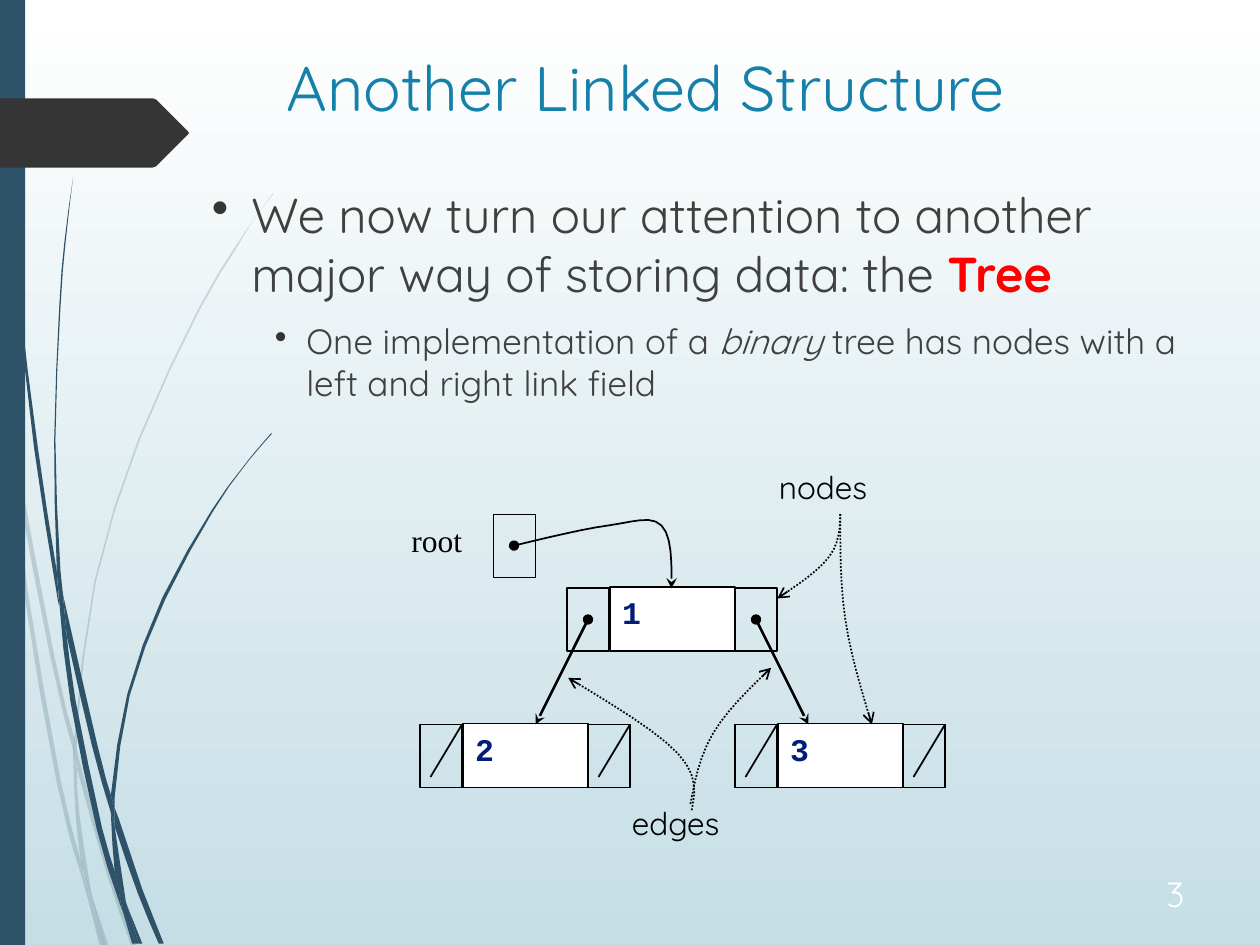
from lxml import etree
from pptx import Presentation
from pptx.dml.color import RGBColor
from pptx.enum.dml import MSO_LINE
from pptx.enum.shapes import MSO_CONNECTOR, MSO_SHAPE
from pptx.enum.text import MSO_ANCHOR, PP_ALIGN
from pptx.oxml.ns import qn
from pptx.util import Pt

RECTANGLE = MSO_SHAPE.RECTANGLE
STRAIGHT = MSO_CONNECTOR.STRAIGHT
DOTTED = MSO_LINE.ROUND_DOT
TOP, MIDDLE = MSO_ANCHOR.TOP, MSO_ANCHOR.MIDDLE
LEFT, CENTER, RIGHT = PP_ALIGN.LEFT, PP_ALIGN.CENTER, PP_ALIGN.RIGHT
BLACK = RGBColor(0, 0, 0)
WHITE = RGBColor(255, 255, 255)
PALE = RGBColor(0xC5, 0xDE, 0xE5)
SLATE = RGBColor(0x2E, 0x53, 0x69)
CHARCOAL = RGBColor(0x35, 0x35, 0x35)
GRAY = RGBColor(0x40, 0x40, 0x40)
TEAL = RGBColor(0x15, 0x81, 0xAA)
RED = RGBColor(255, 0, 0)
NAVY = RGBColor(0, 0x1D, 0x7A)
OFF_WHITE = RGBColor(0xFE, 0xFF, 0xFF)
UNIT = 0.72

deck = Presentation()
deck.slide_width, deck.slide_height = Pt(720), Pt(540)
page = deck.slides.add_slide(deck.slide_layouts[6])
backdrop = page.background.fill
backdrop.gradient()
backdrop.gradient_angle = 270
for stop, color, position in zip(backdrop.gradient_stops, (WHITE, PALE), (0, 1)):
    stop.color.rgb = color
    stop.position = position


def add_outline(edges, closed, smoothness):
    track = []
    for edge in edges:
        track.append(edge[0])
        last = len(edge) - 2
        steps = smoothness if last > 0 else 1
        for i in range(last + 1):
            curves = []
            for axis in (0, 1):
                a, d = edge[i][axis], edge[i + 1][axis]
                b = a + (d - edge[i - 1][axis]) / 6 if i > 0 else None
                c = d - (edge[i + 2][axis] - a) / 6 if i < last else None
                if b is None and c is None:
                    b, c = a, d
                elif b is None:
                    b = (a + c) / 2
                elif c is None:
                    c = (b + d) / 2
                curves.append((a, b, c, d))
            for step in range(1, steps + 1):
                t = step / steps
                s = 1 - t
                track.append([s**3 * a + 3 * s * s * t * b + 3 * s * t * t * c + t**3 * d
                              for a, b, c, d in curves])
    track = [(Pt(x * UNIT), Pt(y * UNIT)) for x, y in track]
    builder = page.shapes.build_freeform(*track[0], scale=1.0)
    builder.add_line_segments(track[1:], close=closed)
    outline = builder.convert_to_shape()
    outline.shadow.inherit = False
    return outline


def add_span(para, text, size, font, color, bold=False, italic=False):
    span = para.add_run()
    span.text = text
    span.font.size, span.font.name = Pt(size), font
    span.font.bold, span.font.italic = bold, italic
    span.font.color.rgb = color


faint_wisps = [
    [[(8, 350), (6, 322), (0, 282)], [(0, 299), (7, 344)]],
    [[(10, 345), (43, 520), (59, 586)], [(59, 599), (40, 522), (12, 376)]],
    [[(61, 596)], [(64, 607), (88, 692), (108, 750)], [(104, 750), (85, 694), (61, 610)]],
    [[(73, 711), (86, 750)], [(83, 750)]],
    [[(8, 350), (12, 376), (22, 469), (48, 619), (64, 683), (69, 707), (70, 714)],
     [(64, 693), (45, 621), (19, 470), (8, 350)]],
    [[(58, 599)], [(61, 610), (63, 646), (72, 706)],
     [(73, 711), (67, 692), (64, 683), (60, 646), (58, 599)]],
    [[(217, 153), (201, 175), (186, 197), (158, 244), (110, 348), (75, 461), (59, 586)],
     [(61, 596)],
     [(61, 584), (76, 462), (111, 349), (159, 245), (187, 198), (201, 175), (217, 154)]],
    [[(70, 714), (82, 750)], [(79, 750)]],
    [[(61, 608), (61, 610)], [(61, 596), (59, 586)], [(58, 599)]],
    [[(65, 683), (69, 707)], [(70, 714), (82, 750)], [(83, 750), (73, 711), (67, 692)]],
]
solid_wisps = [
    [[(3, 0), (4, 48), (6, 109), (15, 232), (30, 355), (45, 453)], [(47, 481)],
     [(46, 477), (27, 355), (14, 233), (5, 110), (3, 48), (2, 0)]],
    [[(50, 472), (77, 590), (88, 631)], [(88, 645), (73, 592), (53, 505)]],
    [[(91, 641), (94, 649)], [(113, 706), (130, 749)], [(126, 749), (109, 708), (91, 656)]],
    [[(47, 477), (53, 505), (60, 556), (81, 657), (91, 691), (96, 717)],
     [(97, 722), (92, 708), (77, 659), (56, 557), (47, 477)]],
    [[(58, 141), (51, 193), (47, 244), (43, 349), (45, 449)], [(49, 472), (50, 472)],
     [(48, 453), (44, 349), (48, 244), (52, 193), (58, 141)]],
    [[(101, 719), (113, 749)], [(110, 749)]],
    [[(47, 477), (53, 505)], [(50, 472)], [(45, 449), (45, 453)]],
    [[(215, 344), (203, 358), (191, 373), (168, 405), (129, 474), (101, 551), (88, 631)],
     [(91, 641)],
     [(91, 633), (103, 552), (131, 476), (169, 406), (191, 374), (203, 359), (216, 344)]],
    [[(97, 722), (108, 749)], [(105, 749)]],
    [[(88, 645), (91, 691), (96, 706), (101, 719)], [(100, 716), (91, 656)], [(90, 651)]],
    [[(88, 645), (90, 651), (91, 656)], [(91, 641), (88, 631)]],
    [[(96, 706), (91, 691)], [(96, 717)], [(97, 722), (108, 749)], [(110, 749), (101, 719)]],
]
for wisps, opacity in ((faint_wisps, 20), (solid_wisps, 100)):
    for edges in wisps:
        wisp = add_outline(edges, True, 2)
        wisp.fill.solid()
        wisp.fill.fore_color.rgb = SLATE
        wisp.line.fill.background()
        if opacity < 100:
            tint = next(wisp.fill._xPr.iter(qn("a:srgbClr")))
            etree.SubElement(tint, qn("a:alpha"), val=str(opacity * 1000))

band = page.shapes.add_shape(RECTANGLE, 0, 0, Pt(14.4), Pt(540))
tag_corners = [(149, 107), (124, 132), (121, 133), (0, 133),
               (0, 78), (121, 78), (124, 79), (149, 104), (150, 105.5)]
tag = add_outline([[corner] for corner in tag_corners], True, 1)
for decoration, color in ((band, SLATE), (tag, CHARCOAL)):
    decoration.shadow.inherit = False
    decoration.fill.solid()
    decoration.fill.fore_color.rgb = color
    decoration.line.fill.background()

labels = [
    ("Another Linked Structure", 60, 24, 618, 54, 36, "Quicksand", TEAL, CENTER, TOP),
    ("3", 516, 492, 168, 37.5, 20, "Quicksand", OFF_WHITE, RIGHT, MIDDLE),
    ("root", 228, 294, 66, 36, 18, "Times New Roman", BLACK, LEFT, TOP),
    ("edges", 354, 456, 108, 36, 18, "Quicksand", BLACK, LEFT, TOP),
    ("nodes", 438, 264, 108, 36, 18, "Quicksand", BLACK, LEFT, TOP),
]
for text, x, y, width, height, size, font, color, align, anchor in labels:
    frame = page.shapes.add_textbox(Pt(x), Pt(y), Pt(width), Pt(height)).text_frame
    frame.word_wrap, frame.vertical_anchor = True, anchor
    frame.paragraphs[0].alignment = align
    add_span(frame.paragraphs[0], text, size, font, color)

body = page.shapes.add_textbox(Pt(78), Pt(102), Pt(624), Pt(390)).text_frame
body.word_wrap = True
bullets = [
    (58.5, -22.5, 28, [
        ("We now turn our attention to another major way of storing data: the ", GRAY, False, False),
        ("Tree", RED, True, False)]),
    (90, -18, 20, [
        ("One implementation of a ", GRAY, False, False),
        ("binary ", GRAY, False, True),
        ("tree has nodes with a left and right link field", GRAY, False, False)]),
]
for level, (margin, indent, size, spans) in enumerate(bullets):
    para = body.add_paragraph() if level else body.paragraphs[0]
    para.level, para.space_before = level, Pt(10)
    props = para._p.get_or_add_pPr()
    props.set("marL", str(Pt(margin)))
    props.set("indent", str(Pt(indent)))
    bullet_color = etree.SubElement(props, qn("a:buClr"))
    etree.SubElement(bullet_color, qn("a:srgbClr"), val=str(CHARCOAL))
    etree.SubElement(props, qn("a:buChar"), char="•")
    for text, color, bold, italic in spans:
        add_span(para, text, size, "Quicksand", color, bold, italic)

nodes = [("1", 324, 336), ("3", 420, 414), ("2", 240, 414)]
boxes = [(value, x + 24.5, y - 0.5, 71.5, 36.5) for value, x, y in nodes]
boxes.append(("", 282, 294, 24, 36))
boxes += [("", x + shift, y, 24, 36) for value, x, y in nodes for shift in (0, 96)]
for value, x, y, width, height in boxes:
    box = page.shapes.add_shape(RECTANGLE, Pt(x), Pt(y), Pt(width), Pt(height))
    box.shadow.inherit = False
    box.line.color.rgb, box.line.width = BLACK, Pt(1)
    if value:
        box.fill.solid()
        box.fill.fore_color.rgb = WHITE
        box.text_frame.vertical_anchor = TOP
        box.text_frame.paragraphs[0].alignment = LEFT
        add_span(box.text_frame.paragraphs[0], value, 18, "Courier New", NAVY, True)
    else:
        box.fill.background()

links = [(336, 354, 306, 414, 1.5, "oval", "stealth"), (432, 354, 462, 414, 1.5, "oval", "stealth")]
links += [(x + shift + 24, y, x + shift + 6, y + 30, 1, None, None)
          for value, x, y in nodes[1:] for shift in (0, 96)]
strokes = []
for x1, y1, x2, y2, width, head, tail in links:
    link = page.shapes.add_connector(STRAIGHT, Pt(x1), Pt(y1), Pt(x2), Pt(y2))
    etree.SubElement(link._element.spPr, qn("a:effectLst"))
    strokes.append((link, width, None, head, tail))

pointers = [
    ([(408, 433), (483, 417), (525, 417), (533, 467)], None, "oval", "stealth"),
    ([(667, 408), (658, 442), (617, 475)], DOTTED, None, "arrow"),
    ([(667, 408), (671, 492), (692, 575)], DOTTED, None, "arrow"),
    ([(549, 643), (538, 598), (451, 538)], DOTTED, None, "arrow"),
    ([(548, 638), (566, 582), (612, 530)], DOTTED, None, "arrow"),
]
for stations, dash, head, tail in pointers:
    pointer = add_outline([stations], False, 6)
    pointer.fill.background()
    strokes.append((pointer, 1, dash, head, tail))

for stroke, width, dash, head, tail in strokes:
    stroke.line.color.rgb, stroke.line.width = BLACK, Pt(width)
    if dash:
        stroke.line.dash_style = dash
    for name, kind in (("a:headEnd", head), ("a:tailEnd", tail)):
        if kind:
            etree.SubElement(stroke.line._get_or_add_ln(), qn(name), type=kind)

deck.save("out.pptx")
